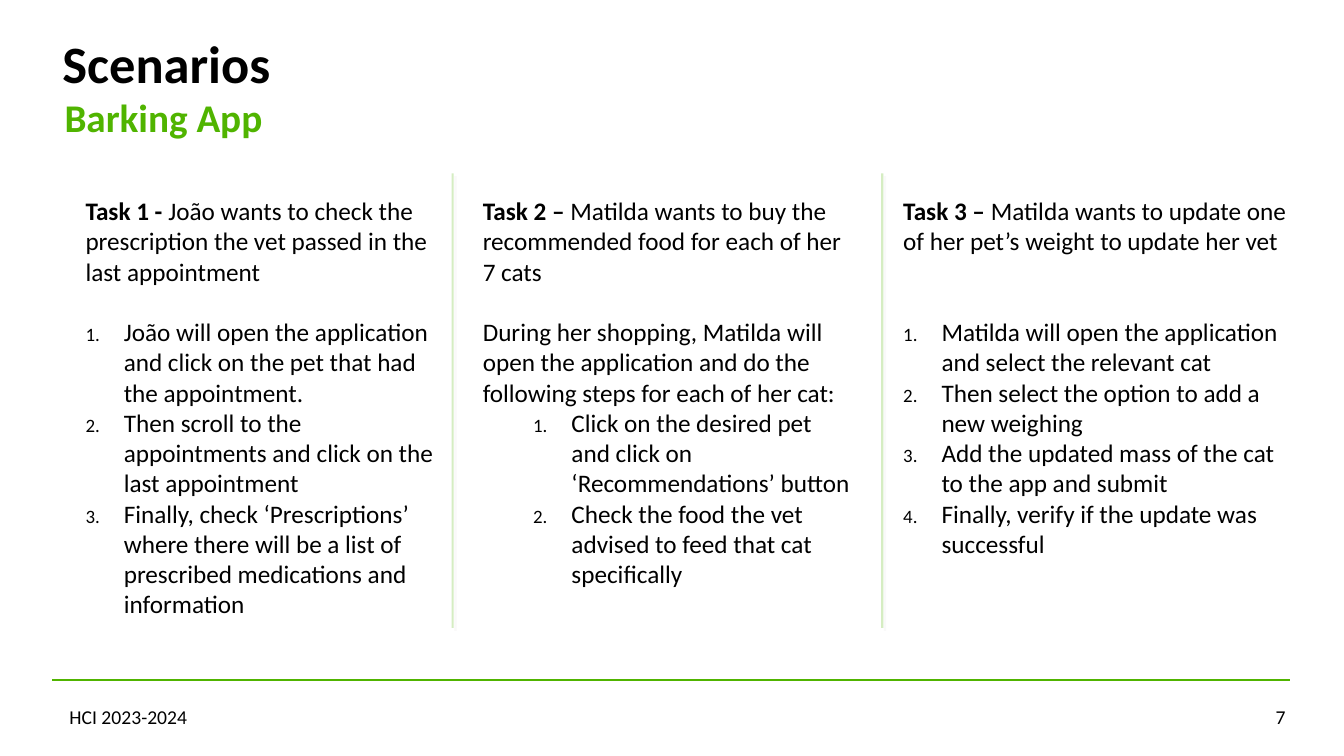
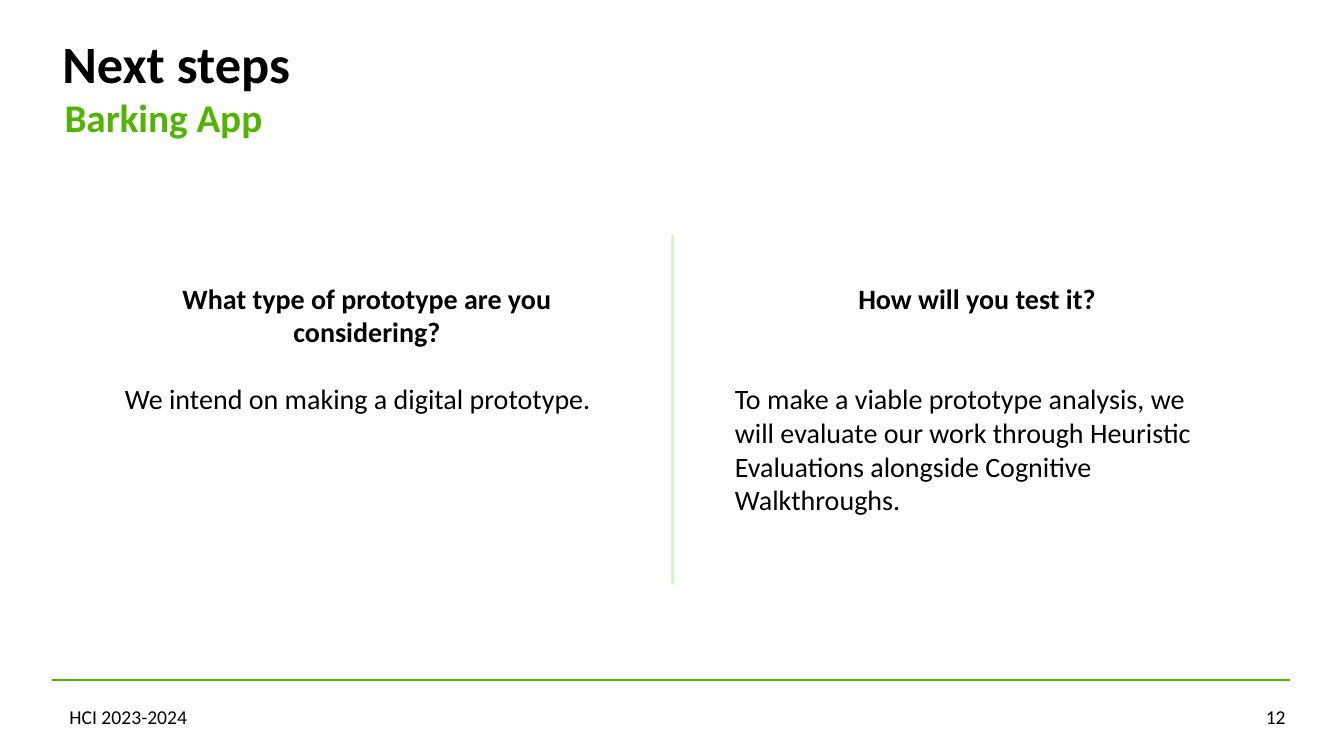
from dataclasses import dataclass

from lxml import etree
from pptx import Presentation
from pptx import util as u
from pptx.dml.color import RGBColor
from pptx.enum import shapes, text
from pptx.oxml import ns

COLORS = {"ink": "000000", "accent": "50B400", "shadow": "E7E6E6"}
FONT = "Calibri"
LINE_HEIGHT = 1.2  # one line, as a multiple of the text size
LEFT, CENTER, RIGHT = text.PP_ALIGN.LEFT, text.PP_ALIGN.CENTER, text.PP_ALIGN.RIGHT
GROW = {"auto_size": text.MSO_AUTO_SIZE.SHAPE_TO_FIT_TEXT}
NO_INSETS = {f"margin_{side}": 0 for side in ("left", "top", "right", "bottom")}


@dataclass(frozen=True)
class Span:
    text: str
    bold: bool = False


@dataclass(frozen=True)
class Para:
    spans: tuple[Span, ...]
    align: text.PP_ALIGN = LEFT
    gap: int = 0  # empty lines above
    indent: float | None = None  # numbered when set
    spacing: float | None = None


@dataclass(frozen=True)
class Area:
    left: float
    top: float
    width: float
    height: float


@dataclass(frozen=True)
class Divider:
    left: float
    top: float
    bottom: float


@dataclass(frozen=True)
class Page:
    title: str
    number: int
    size: float
    columns: tuple[tuple[Area, tuple[Para, ...]], ...]
    dividers: tuple[Divider, ...]


def plain(words: str, **layout) -> Para:
    return Para((Span(words),), **layout)


def bold(words: str, **layout) -> Para:
    return Para((Span(words, True),), **layout)


def task(label: str, words: str) -> Para:
    return Para((Span(label, True), Span(words)))


def steps(*lines: str, gap: int = 0, indent: float = 0.38) -> tuple[Para, ...]:
    return tuple(plain(line, gap=0 if i else gap, indent=indent)
                 for i, line in enumerate(lines))


def add_node(parent, tag: str, **attributes: str):
    return etree.SubElement(parent, ns.qn(tag), attributes)


def number_paragraph(paragraph, indent: float) -> None:
    properties = paragraph._p.get_or_add_pPr()
    properties.set("marL", str(u.Inches(indent)))
    properties.set("indent", str(u.Inches(-0.38)))
    add_node(properties, "a:buSzPct", val="75000")
    add_node(properties, "a:buFont", typeface="+mj-lt")
    add_node(properties, "a:buAutoNum", type="arabicPeriod")


def add_text(slide, area: Area, paras: tuple[Para, ...], size: float,
             color: str = "ink", **frame_format) -> None:
    box = slide.shapes.add_textbox(u.Inches(area.left), u.Inches(area.top),
                                   u.Inches(area.width), u.Inches(area.height))
    frame = box.text_frame
    for name, value in {"word_wrap": True, **frame_format}.items():
        setattr(frame, name, value)
    for i, para in enumerate(paras):
        paragraph = frame.add_paragraph() if i else frame.paragraphs[0]
        paragraph.alignment = para.align
        if para.spacing:
            paragraph.line_spacing = para.spacing
        if para.gap:
            paragraph.space_before = u.Pt(para.gap * size * LINE_HEIGHT)
        if para.indent is not None:
            number_paragraph(paragraph, para.indent)
        for span in para.spans:
            run = paragraph.add_run()
            run.text = span.text
            font_format = {"name": FONT, "size": u.Pt(size), "bold": span.bold}
            for name, value in font_format.items():
                setattr(run.font, name, value)
            run.font.color.rgb = RGBColor.from_string(COLORS[color])


def add_line(slide, start: tuple[float, float], end: tuple[float, float]):
    """Draw an accent line and return it with its empty effect list."""
    line = slide.shapes.add_connector(
        shapes.MSO_CONNECTOR.STRAIGHT, *(u.Inches(v) for v in start + end))
    line.line.width = u.Pt(1.5)
    line.line.color.rgb = RGBColor.from_string(COLORS["accent"])
    return line, add_node(line.element.spPr, "a:effectLst")


def add_divider(slide, divider: Divider) -> None:
    line, effects = add_line(slide, (divider.left, divider.top),
                             (divider.left, divider.bottom))
    color = line.element.spPr.find(".//" + ns.qn("a:srgbClr"))
    add_node(color, "a:alpha", val="24000")
    shadow = add_node(effects, "a:outerShdw", blurRad="0", dist=str(u.Pt(2.8)),
                      dir="2700000", algn="tl", rotWithShape="0")
    add_node(shadow, "a:srgbClr", val=COLORS["shadow"])


def add_page(deck, page: Page) -> None:
    slide = deck.slides.add_slide(deck.slide_layouts[6])
    # Heading
    add_text(slide, Area(0.52, 0.37, 12.28, 0.6), (bold(page.title, spacing=0.7),),
             37.5, vertical_anchor=text.MSO_ANCHOR.BOTTOM)
    add_text(slide, Area(0.64, 0.93, 12.17, 0.94), (bold("Barking App"),),
             28, "accent", **NO_INSETS, **GROW)
    # Body
    for area, paras in page.columns:
        add_text(slide, area, paras, page.size, **GROW)
    for divider in page.dividers:
        add_divider(slide, divider)
    # Footer
    add_line(slide, (0.52, 6.75), (12.79, 6.75))
    add_text(slide, Area(0.59, 6.94, 3.62, 0.34), (plain("HCI 2023-2024"),), 14)
    add_text(slide, Area(12.05, 6.94, 0.8, 0.34),
             (plain(str(page.number), align=RIGHT),), 14)


SCENARIOS = Page(
    "Scenarios", 7, 18,
    columns=(
        (Area(0.75, 1.89, 3.74, 4.34), (
            task("Task 1 - ", "João wants to check the prescription the vet passed "
                 "in the last appointment"),
            *steps("João will open the application and click on the pet that had "
                   "the appointment.",
                   "Then scroll to the appointments and click on the last appointment",
                   "Finally, check ‘Prescriptions’ where there will be a list of "
                   "prescribed medications and information", gap=1))),
        (Area(4.69, 1.89, 3.87, 4.34), (
            task("Task 2 – ", "Matilda wants to buy the recommended food for each "
                 "of her 7 cats"),
            plain("During her shopping, Matilda will open the application and do "
                  "the following steps for each of her cat:", gap=1),
            *steps("Click on the desired pet and click on ‘Recommendations’ button",
                   "Check the food the vet advised to feed that cat specifically",
                   indent=0.88))),
        (Area(8.86, 1.89, 4.05, 4.34), (
            task("Task 3 – ", "Matilda wants to update one of her pet’s weight to "
                 "update her vet"),
            *steps("Matilda will open the application and select the relevant cat",
                   "Then select the option to add a new weighing",
                   "Add the updated mass of the cat to the app and submit",
                   "Finally, verify if the update was successful", gap=2))),
    ),
    dividers=tuple(Divider(left, 1.72, 6.23) for left in (4.49, 8.75)),
)

NEXT_STEPS = Page(
    "Next steps", 12, 20,
    columns=(
        (Area(1.14, 2.74, 5, 2.46), (
            bold("What type of prototype are you considering?", align=CENTER),
            plain("We intend on making a digital prototype.", gap=1))),
        (Area(7.19, 2.74, 5, 2.46), (
            bold("How will you test it?", align=CENTER),
            plain("To make a viable prototype analysis, we will evaluate our work "
                  "through Heuristic Evaluations alongside Cognitive Walkthroughs.",
                  gap=2))),
    ),
    dividers=(Divider(6.67, 2.33, 5.79),),
)


def main() -> None:
    deck = Presentation()
    deck.slide_width, deck.slide_height = u.Inches(13.33), u.Inches(7.5)
    for page in (SCENARIOS, NEXT_STEPS):
        add_page(deck, page)
    deck.save("out.pptx")


if __name__ == "__main__":
    main()
